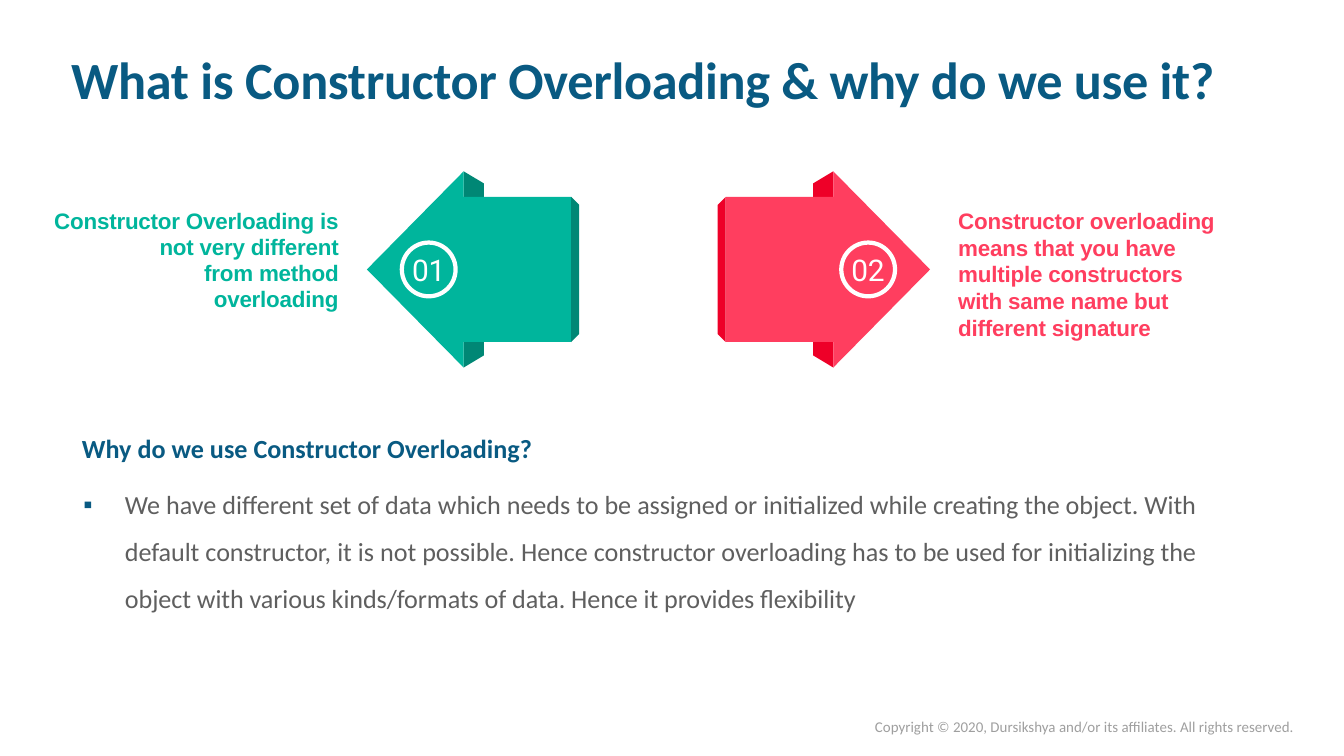
from lxml import etree
from pptx import Presentation
from pptx.dml.color import RGBColor
from pptx.enum import shapes, text
from pptx.oxml.ns import qn
from pptx.util import Inches, Pt

NAVY, GREY, WHITE = "095A82", "5F5F5F", "FFFFFF"
GREEN, DARK_GREEN = "00B59C", "008775"
RED, DARK_RED = "FF3E5F", "EE0028"
MIDDLE = 2.005
LEFT, RIGHT = -1, 1


def colour(value):
    return RGBColor.from_string(value)


def place(shape, left, top, width, height):
    shape.left, shape.top = Inches(left), Inches(top)
    shape.width, shape.height = Inches(width), Inches(height)


def prepare(frame, inset=0.01, anchor=text.MSO_ANCHOR.TOP):
    frame.word_wrap = True
    frame.auto_size = text.MSO_AUTO_SIZE.NONE
    frame.vertical_anchor = anchor
    frame.margin_left = frame.margin_right = frame.margin_bottom = 0
    frame.margin_top = Inches(inset)


def set_bullet(para, symbol=None, tint=NAVY):
    """Give the paragraph a coloured bullet, or none without a symbol."""
    properties = para._p.get_or_add_pPr()
    if symbol is None:
        etree.SubElement(properties, qn("a:buNone"))
        return
    holder = etree.SubElement(properties, qn("a:buClr"))
    etree.SubElement(holder, qn("a:srgbClr"), val=tint)
    etree.SubElement(properties, qn("a:buFont"), typeface="Arial")
    etree.SubElement(properties, qn("a:buChar"), char=symbol)


def write(para, words, font="Calibri", size=14, tint=GREY, bold=False,
          align=text.PP_ALIGN.LEFT, line=1.0, before=0, margin=0.01,
          indent=0, tracking=-0.1):
    para.alignment = align
    para.line_spacing = line
    para.space_before = Pt(before)
    properties = para._p.get_or_add_pPr()
    properties.set("marL", str(Inches(margin)))
    properties.set("indent", str(Inches(indent)))
    span = para.add_run()
    span.text = words
    span.font.name = font
    span.font.size = Pt(size)
    span.font.bold = bold
    span.font.color.rgb = colour(tint)
    span._r.get_or_add_rPr().set("spc", str(round(tracking * 100)))


def add_text(page, bounds, words, inset=0.01, **style):
    box = page.shapes.add_textbox(*map(Inches, bounds))
    prepare(box.text_frame, inset)
    write(box.text_frame.paragraphs[0], words, **style)


def add_outline(page, contours, fill):
    """Draw closed contours, given in inches, as one filled shape."""
    first, *others = [[(Inches(x), Inches(y)) for x, y in contour]
                      for contour in contours]
    builder = page.shapes.build_freeform(*first[0])
    builder.add_line_segments(first[1:], close=True)
    for contour in others:
        builder.move_to(*contour[0])
        builder.add_line_segments(contour[1:], close=True)
    shape = builder.convert_to_shape()
    shape.shadow.inherit = False
    shape.fill.solid()
    shape.fill.fore_color.rgb = colour(fill)
    shape.line.fill.background()


def add_ring(page, centre, number, fill):
    radius = 0.2
    ring = page.shapes.add_shape(
        shapes.MSO_SHAPE.OVAL, Inches(centre - radius),
        Inches(MIDDLE - radius), Inches(2 * radius), Inches(2 * radius))
    ring.shadow.inherit = False
    ring.fill.solid()
    ring.fill.fore_color.rgb = colour(fill)
    ring.line.color.rgb = colour(WHITE)
    ring.line.width = Pt(2.28)
    prepare(ring.text_frame, inset=0, anchor=text.MSO_ANCHOR.MIDDLE)
    ring.text_frame.word_wrap = False
    write(ring.text_frame.paragraphs[0], number, font="Roboto", size=16,
          tint=WHITE, align=text.PP_ALIGN.CENTER, margin=0)


def add_folded_arrow(page, neck, direction, number, fill, shade):
    """Draw an arrow whose head meets its body at neck, with folded edges."""
    tip, body, fold, edge = (neck + direction * reach
                             for reach in (0.72, -0.8, -0.15, -0.86))
    head, half, bevel = 0.73, 0.54, 0.48

    def both_sides(points):
        return [[(x, MIDDLE + side * y) for x, y in points]
                for side in (-1, 1)]

    add_outline(page, both_sides([(neck, head), (fold, 0.64),
                                  (fold, bevel), (neck, half)]), shade)
    upper, lower = both_sides([(neck, head), (neck, half), (body, half)])
    add_outline(page, [[(tip, MIDDLE)] + upper + lower[::-1]], fill)
    upper, lower = both_sides([(body, half), (edge, bevel)])
    add_outline(page, [upper + lower[::-1]], shade)
    add_ring(page, neck + direction * 0.26, number, fill)


def main():
    deck = Presentation()
    deck.slide_width = Inches(10)
    deck.slide_height = deck.slide_width * 9 // 16
    page = deck.slides.add_slide(deck.slide_layouts[1])

    title, body = page.placeholders
    place(title, 0.52, 0.33, 8.58, 0.49)
    prepare(title.text_frame, inset=0.02)
    write(title.text_frame.paragraphs[0],
          "What is Constructor Overloading & why do we use it?",
          size=28, tint=NAVY, bold=True, tracking=-0.13)

    add_folded_arrow(page, 6.2, RIGHT, "02", RED, DARK_RED)
    add_folded_arrow(page, 3.45, LEFT, "01", GREEN, DARK_GREEN)

    label = dict(font="Arial", size=12, bold=True, inset=0.02)
    add_text(page, (7.12, 1.53, 2, 1.02),
             "Constructor overloading means that you have multiple "
             "constructors with same name but different signature",
             tint=RED, line=0.99, **label)
    add_text(page, (0.35, 1.53, 2.17, 0.82),
             "Constructor Overloading is not very different from method "
             "overloading", tint=GREEN, line=0.97,
             align=text.PP_ALIGN.RIGHT, margin=0.48, indent=-0.46, **label)

    place(body, 0.6, 3.21, 8.3, 1.37)
    prepare(body.text_frame)
    heading = body.text_frame.paragraphs[0]
    set_bullet(heading)
    write(heading, "Why do we use Constructor Overloading?", tint=NAVY,
          bold=True, align=text.PP_ALIGN.JUSTIFY, tracking=0)
    reason = body.text_frame.add_paragraph()
    set_bullet(reason, "▪")
    write(reason,
          "We have different set of data which needs to be assigned or "
          "initialized while creating the object. With default constructor, "
          "it is not possible. Hence constructor overloading has to be used "
          "for initializing the object with various kinds/formats of data. "
          "Hence it provides flexibility",
          align=text.PP_ALIGN.JUSTIFY, line=1.49, before=5, margin=0.33,
          indent=-0.31, tracking=-0.07)

    add_text(page, (6.5, 5.33, 3.25, 0.16),
             "Copyright © 2020, Dursikshya and/or its affiliates. "
             "All rights reserved.", size=8, tint="9F9F9F", tracking=0)
    deck.save("out.pptx")


if __name__ == "__main__":
    main()
